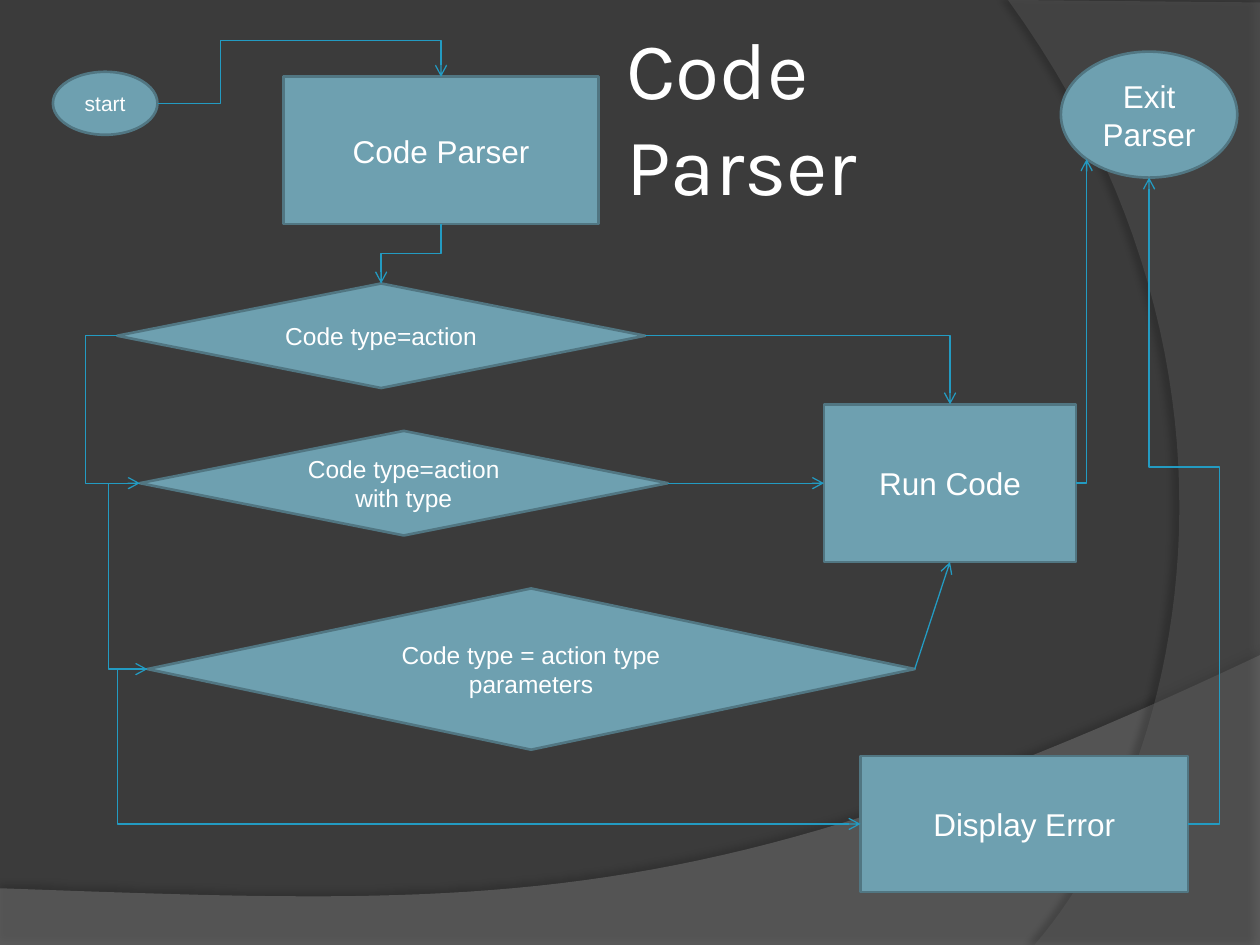
from lxml.etree import SubElement
from pptx import Presentation
from pptx.dml.color import RGBColor
from pptx.enum.shapes import MSO_CONNECTOR, MSO_SHAPE
from pptx.enum.text import MSO_ANCHOR, PP_ALIGN
from pptx.oxml.ns import qn
from pptx.util import Inches, Pt

BACKGROUND, NODE_FILL, NODE_LINE, ARROW, WHITE = "3B3B3B", "6EA0B0", "517682", "239BC2", "FFFFFF"

# Outline: start point, then line points (2 numbers) or Bezier curves (6 numbers).
# Shadow: opacity %, blur pt, distance pt, direction in degrees.
WAVES = [
    {"outline": [(0, 7.05), (0, 7.5), (10, 7.5), (10, 5.2), (5.59, 7.29, 3.91, 7.19, 0, 7.05)],
     "fill": "7F7F7F", "opacity": 45, "shadow": (35, 4, 3.5, 270)},
    {"outline": [(10, 0.02), (10, 7.5), (8.21, 7.5), (9.35, 6.19, 10.18, 3, 8, 0)],
     "fill": "5E5E5E", "opacity": 40, "shadow": (45, 4, 4, 180)},
]

# name: preset, text, size, (left, top, width, height)
NODES = {
    "start": (MSO_SHAPE.OVAL, "start", 12, (0.42, 0.57, 0.83, 0.5)),
    "parser": (MSO_SHAPE.RECTANGLE, "Code Parser", 18, (2.25, 0.61, 2.5, 1.17)),
    "action": (MSO_SHAPE.FLOWCHART_DECISION, "Code type=action", 14, (0.93, 2.25, 4.19, 0.83)),
    "typed": (MSO_SHAPE.FLOWCHART_DECISION, "Code type=action with type", 14,
              (1.11, 3.42, 4.19, 0.83)),
    "parameters": (MSO_SHAPE.FLOWCHART_DECISION, "Code type = action type parameters", 14,
                   (1.17, 4.67, 6.09, 1.28)),
    "exit": (MSO_SHAPE.OVAL, "Exit Parser", 18, (8.42, 0.41, 1.4, 1)),
    "error": (MSO_SHAPE.RECTANGLE, "Display Error", 18, (6.83, 6, 2.6, 1.08)),
    "run": (MSO_SHAPE.RECTANGLE, "Run Code", 18, (6.54, 3.21, 2, 1.25)),
}

STRAIGHT = [("typed", "right", "run", "left"), ("parameters", "right", "run", "bottom")]

# from, side, to, side, preset, positions of the bends (x, then y) where they are set
ELBOWS = [
    ("start", "right", "parser", "top", "bentConnector4", (1.75, 0.32)),
    ("parser", "bottom", "action", "top", "bentConnector3", ()),
    ("action", "left", "typed", "left", "bentConnector3", (0.68,)),
    ("typed", "left", "parameters", "left", "bentConnector3", (0.86,)),
    ("parameters", "left", "error", "left", "bentConnector3", (0.93,)),
    ("error", "right", "exit", "bottom", "bentConnector4", (9.68, 3.71)),
    ("action", "right", "run", "top", "bentConnector2", ()),
    ("run", "right", "exit", "lower left", "bentConnector2", ()),
]

# side: share of width, share of height, site on a four-sided shape, site on an oval
SIDES = {
    "top": (0.5, 0, 0, 0), "left": (0, 0.5, 1, 2), "bottom": (0.5, 1, 2, 4),
    "right": (1, 0.5, 3, 6), "lower left": (0.146, 0.854, None, 3),
}


def color(value):
    return RGBColor.from_string(value)


def write(shape, text, size, font, alignment):
    frame = shape.text_frame
    frame.word_wrap = True
    frame.vertical_anchor = MSO_ANCHOR.MIDDLE
    paragraph = frame.paragraphs[0]
    paragraph.alignment = alignment
    run = paragraph.add_run()
    run.text = text
    for name, value in {"size": Pt(size), "name": font}.items():
        setattr(run.font, name, value)
    run.font.color.rgb = color(WHITE)
    return frame


def bezier(start, controls, steps=48):
    """Points along a cubic curve, after its start."""
    points = [start, controls[:2], controls[2:4], controls[4:]]
    for step in range(1, steps + 1):
        t = step / steps
        weights = ((1 - t) ** 3, 3 * t * (1 - t) ** 2, 3 * t * t * (1 - t), t ** 3)
        yield tuple(sum(w * p[axis] for w, p in zip(weights, points)) for axis in (0, 1))


def add_wave(slide, outline, fill, opacity, shadow):
    points = [outline[0]]
    for part in outline[1:]:
        points.extend([part] if len(part) == 2 else bezier(points[-1], part))
    points = [(Inches(x), Inches(y)) for x, y in points]
    builder = slide.shapes.build_freeform(*points[0])
    builder.add_line_segments(points[1:])
    shape = builder.convert_to_shape()
    shape.fill.solid()
    shape.fill.fore_color.rgb = color(fill)
    shape.line.fill.background()
    shape.shadow.inherit = False
    properties = shape.element.spPr
    SubElement(properties.find(".//" + qn("a:srgbClr")), qn("a:alpha"), val=str(opacity * 1000))
    strength, blur, distance, direction = shadow
    outer = SubElement(properties.find(qn("a:effectLst")), qn("a:outerShdw"),
                       blurRad=str(Pt(blur)), dist=str(Pt(distance)),
                       dir=str(direction * 60000), rotWithShape="0")
    shade = SubElement(outer, qn("a:srgbClr"), val="000000")
    SubElement(shade, qn("a:alpha"), val=str(strength * 1000))


def add_node(slide, preset, text, size, box):
    shape = slide.shapes.add_shape(preset, *map(Inches, box))
    shape.shadow.inherit = False
    shape.fill.solid()
    shape.fill.fore_color.rgb = color(NODE_FILL)
    shape.line.color.rgb = color(NODE_LINE)
    shape.line.width = Pt(1.5)
    write(shape, text, size, "Arial", PP_ALIGN.CENTER)
    return shape


def anchor(name, side):
    """Point on a node's side, and the index of its connection site."""
    preset, _, _, (left, top, width, height) = NODES[name]
    across, down, corner_site, oval_site = SIDES[side]
    site = oval_site if preset == MSO_SHAPE.OVAL else corner_site
    return (left + across * width, top + down * height), site


def add_arrow(slide, kind, begin, end):
    connector = slide.shapes.add_connector(kind, *map(Inches, (*begin, *end)))
    connector.line.color.rgb = color(ARROW)
    connector.line.width = Pt(0.75)
    properties = connector.element.spPr
    SubElement(properties.find(qn("a:ln")), qn("a:tailEnd"), type="arrow")
    SubElement(properties, qn("a:effectLst"))
    return connector


def add_straight(slide, shapes, source, source_side, target, target_side):
    begin, begin_site = anchor(source, source_side)
    end, end_site = anchor(target, target_side)
    connector = add_arrow(slide, MSO_CONNECTOR.STRAIGHT, begin, end)
    connector.begin_connect(shapes[source], begin_site)
    connector.end_connect(shapes[target], end_site)


def add_elbow(slide, shapes, source, source_side, target, target_side, preset, bends):
    begin, begin_site = anchor(source, source_side)
    end, end_site = anchor(target, target_side)
    if source_side == "bottom":
        # A quarter turn about the centre makes the first leg vertical.
        x, y = (begin[0] + end[0]) / 2, (begin[1] + end[1]) / 2
        half_x, half_y = (end[1] - begin[1]) / 2, (begin[0] - end[0]) / 2
        connector = add_arrow(slide, MSO_CONNECTOR.ELBOW,
                              (x - half_x, y - half_y), (x + half_x, y + half_y))
        connector.element.spPr.find(qn("a:xfrm")).set("rot", str(90 * 60000))
    else:
        connector = add_arrow(slide, MSO_CONNECTOR.ELBOW, begin, end)
    geometry = connector.element.spPr.find(qn("a:prstGeom"))
    geometry.set("prst", preset)
    guides = geometry.find(qn("a:avLst"))
    for index, (bend, first, last) in enumerate(zip(bends, begin, end), 1):
        share = round((bend - first) / (last - first) * 100000)
        SubElement(guides, qn("a:gd"), name=f"adj{index}", fmla=f"val {share}")
    # begin_connect knows only four sites, and ovals have eight.
    links = connector.element.find(".//" + qn("p:cNvCxnSpPr"))
    for tag, name, site in (("a:stCxn", source, begin_site), ("a:endCxn", target, end_site)):
        SubElement(links, qn(tag), id=str(shapes[name].shape_id), idx=str(site))


def main():
    presentation = Presentation()
    presentation.slide_width, presentation.slide_height = Inches(10), Inches(7.5)
    slide = presentation.slides.add_slide(presentation.slide_layouts[6])
    slide.background.fill.solid()
    slide.background.fill.fore_color.rgb = color(BACKGROUND)
    for wave in WAVES:
        add_wave(slide, **wave)
    shapes = {name: add_node(slide, *node) for name, node in NODES.items()}
    for link in STRAIGHT:
        add_straight(slide, shapes, *link)
    for link in ELBOWS:
        add_elbow(slide, shapes, *link)
    title = slide.shapes.add_textbox(*map(Inches, (4.92, 0.29, 3.42, 1.25)))
    frame = write(title, "Code Parser", 46, "Karla", PP_ALIGN.LEFT)
    for side in ("left", "top", "right", "bottom"):
        setattr(frame, f"margin_{side}", Inches(0.05))
    presentation.save("out.pptx")


if __name__ == "__main__":
    main()
